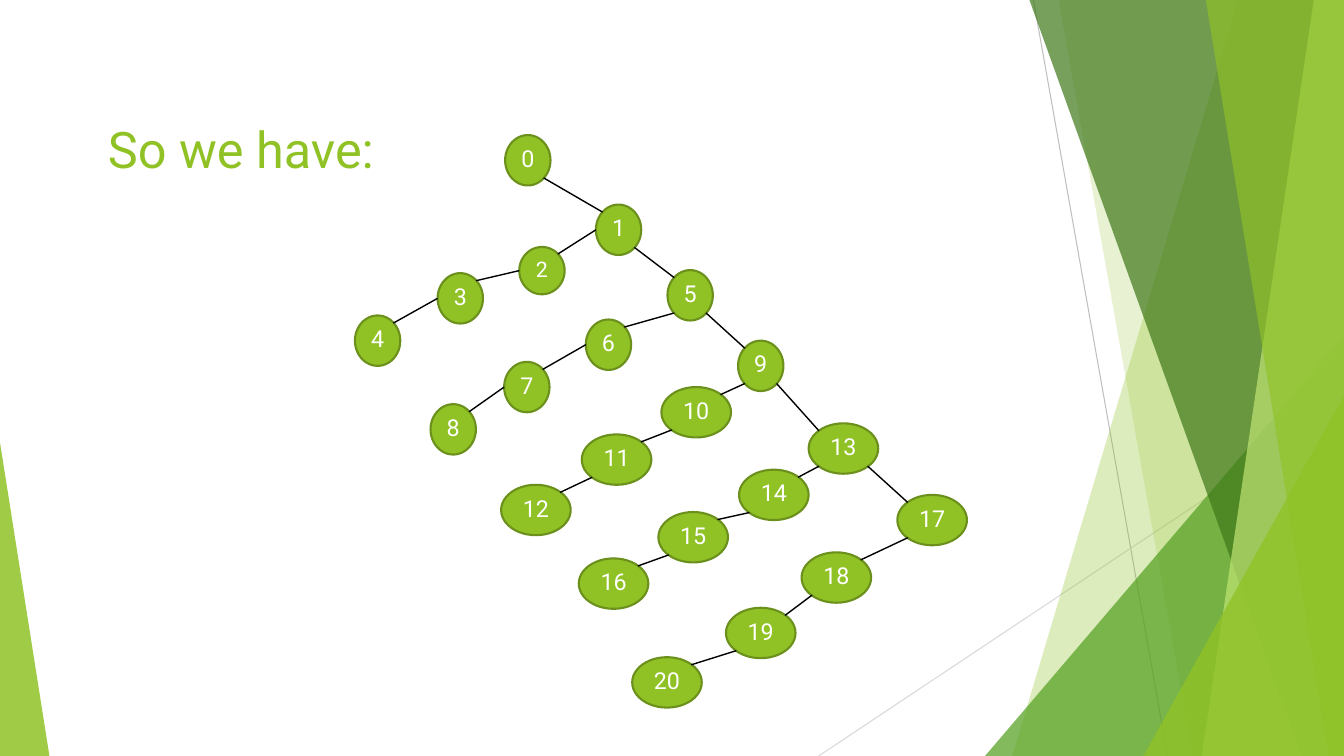
from lxml.etree import SubElement
from pptx import Presentation
from pptx.dml.color import RGBColor
from pptx.enum.shapes import MSO_CONNECTOR as CONNECTOR, MSO_SHAPE as SHAPE
from pptx.enum.text import MSO_ANCHOR as ANCHOR, PP_ALIGN as ALIGN
from pptx.oxml.ns import qn
from pptx.util import Inches, Pt

WIDTH, HEIGHT = 13.33, 7.5
GREEN, DARK_GREEN, WHITE, BLACK = "90C226", "6B901C", "FFFFFF", "000000"
FONT = "Roboto"

presentation = Presentation()
presentation.slide_width, presentation.slide_height = Inches(WIDTH), Inches(HEIGHT)
slide = presentation.slides.add_slide(presentation.slide_layouts[5])
shapes = slide.shapes


def paint(target, color, opacity=100):
    """Give a fill or a line a solid color, see-through below 100 percent."""
    target.solid()
    target.fore_color.rgb = RGBColor.from_string(color)
    if opacity < 100:
        color_element = target._xPr.find(qn("a:solidFill"))[0]
        SubElement(color_element, qn("a:alpha"), val=str(opacity * 1000))


def draw_line(start, end, color, width):
    ends = [Inches(length) for length in (*start, *end)]
    line = shapes.add_connector(CONNECTOR.STRAIGHT, *ends)
    paint(line.line.fill, color)
    line.line.width = Pt(width)
    SubElement(line._element.spPr, qn("a:effectLst"))


# Decoration: thin lines, then translucent bands and triangles from back to front
draw_line((10.25, 0), (11.58, HEIGHT), "BFBFBF", 0.75)
draw_line((WIDTH, 4.03), (8.12, HEIGHT), "D9D9D9", 0.75)

# Bands run to the right edge: (top left x, bottom left x, color, opacity)
# Triangles stand on the bottom edge: (left, top, width, apex, color, opacity)
decoration = [
    (12.28, 10.04, GREEN, 30),
    (10.5, 11.83, GREEN, 20),
    (9.77, 3.33, 3.56, 1, "54A021", 72),
    (10.21, 12.91, "3F7819", 70),
    (13.03, 11.92, "C0E474", 70),
    (11.96, 13.18, GREEN, 65),
    (11.34, 3.93, 1.99, 1, GREEN, 80),
    (0, 4.39, 0.49, 0, GREEN, 85),
]
for *geometry, color, opacity in decoration:
    if len(geometry) == 2:
        top_x, bottom_x = geometry
        corners = [(top_x, 0), (WIDTH, 0), (WIDTH, HEIGHT), (bottom_x, HEIGHT)]
        corners = [(Inches(x), Inches(y)) for x, y in corners]
        outline = shapes.build_freeform(*corners[0])
        outline.add_line_segments(corners[1:], close=True)
        shape = outline.convert_to_shape()
    else:
        left, top, width, apex = geometry
        box = [Inches(length) for length in (left, top, width, HEIGHT - top)]
        shape = shapes.add_shape(SHAPE.ISOSCELES_TRIANGLE, *box)
        shape.adjustments[0] = apex
    paint(shape.fill, color, opacity)
    shape.line.fill.background()
    shape.shadow.inherit = False

# Title
title = shapes.title
title_box = {"left": 0.97, "top": 1.12, "width": 10, "height": 1.47}
for name, length in title_box.items():
    setattr(title, name, Inches(length))
title.text_frame.text = "So we have:"
title.text_frame.vertical_anchor = ANCHOR.TOP
paragraph = title.text_frame.paragraphs[0]
paragraph.alignment = ALIGN.LEFT
paragraph.font.name, paragraph.font.size = FONT, Pt(36)
paint(paragraph.font.fill, GREEN)

# Tree nodes: left and top of the nodes 0 to 20
corners = [
    (5.01, 1.34),
    (5.91, 2.03), (5.15, 2.45), (4.34, 2.71), (3.52, 3.13),
    (6.62, 2.68), (5.81, 3.17), (5, 3.59), (4.27, 4.01),
    (7.32, 3.38), (6.56, 3.84), (5.77, 4.31), (4.97, 4.81),
    (8.02, 4.2), (7.33, 4.66), (6.53, 5.08), (5.74, 5.54),
    (8.9, 4.91), (7.95, 5.48), (7.2, 6.03), (6.27, 6.52),
]
boxes = [
    (left, top, 0.45 if number < 10 else 0.69, 0.47 if number == 2 else 0.5)
    for number, (left, top) in enumerate(corners)
]
frame_format = {
    "margin_left": 0, "margin_right": 0, "margin_top": 0, "margin_bottom": 0,
    "vertical_anchor": ANCHOR.MIDDLE, "word_wrap": False,
}
paragraph_format = {"alignment": ALIGN.CENTER, "line_spacing": 0.85, "space_after": Pt(6)}
for number, box in enumerate(boxes):
    node = shapes.add_shape(SHAPE.FLOWCHART_CONNECTOR, *map(Inches, box))
    paint(node.fill, GREEN)
    paint(node.line.fill, DARK_GREEN)
    node.line.width = Pt(1.5)
    node.shadow.inherit = False
    node.text_frame.text = str(number)
    paragraph = node.text_frame.paragraphs[0]
    for target, values in ((node.text_frame, frame_format), (paragraph, paragraph_format)):
        for name, value in values.items():
            setattr(target, name, value)
    paragraph.font.name = FONT
    paragraph.font.size = Pt(15.3 if number == 2 else 16.6)
    paint(paragraph.font.fill, WHITE)

# Edges: every fourth node continues the spine, the others hang to the left.
# Each edge joins points given as shares of the two nodes' width and height.
NEAR, FAR = 0.15, 0.85
for child in range(1, len(boxes)):
    if child % 4 == 1:
        parent, exit_share, entry_share = max(child - 4, 0), (FAR, FAR), (NEAR, NEAR)
    else:
        parent, entry_share = child - 1, (FAR, NEAR)
        exit_share = (0, 0.5) if parent in (1, 2, 3, 6, 7) else (NEAR, FAR)
    start, end = [
        (left + width * across, top + height * down)
        for (left, top, width, height), (across, down) in (
            (boxes[parent], exit_share), (boxes[child], entry_share))
    ]
    draw_line(start, end, BLACK, 1)

presentation.save("out.pptx")
